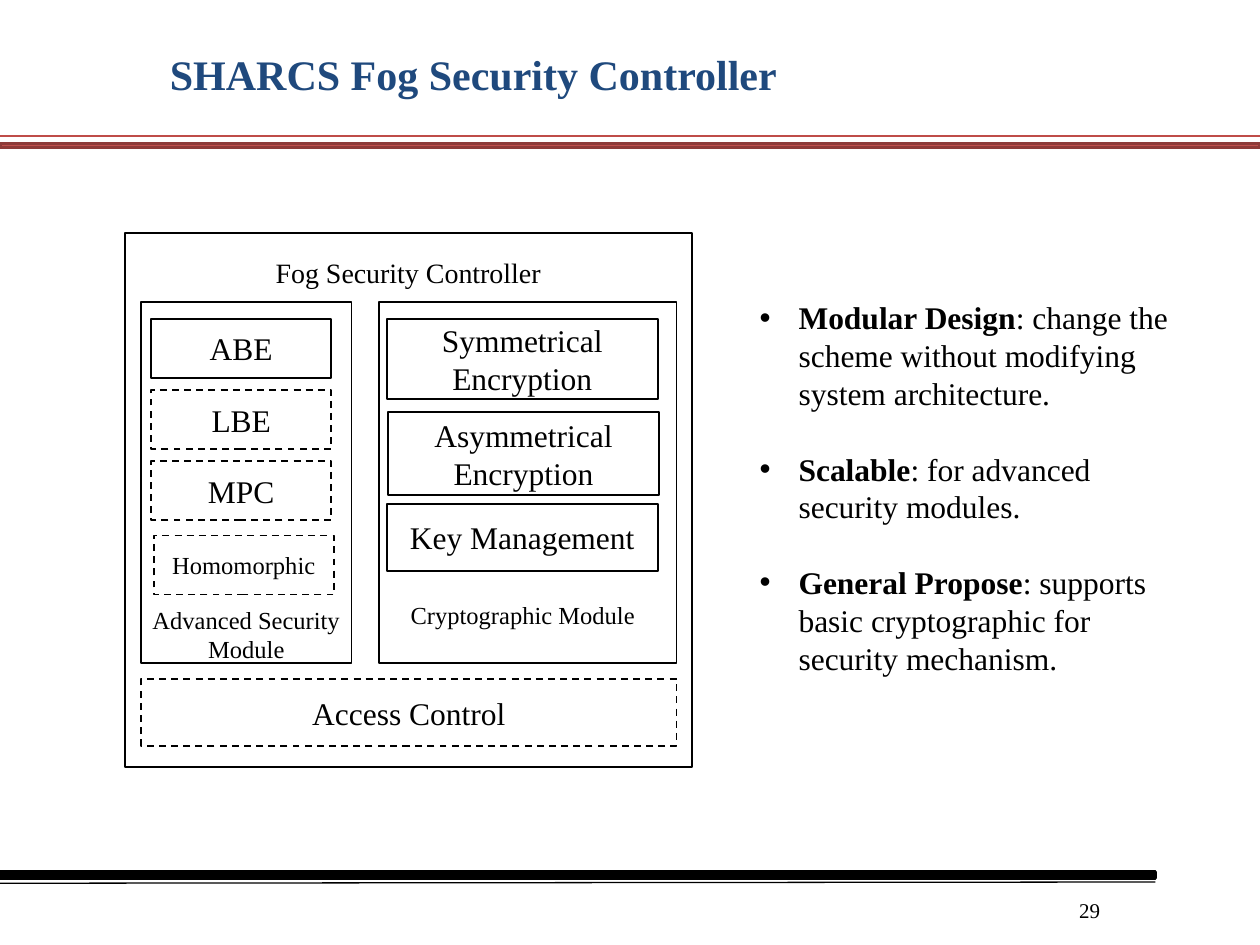
from pptx import Presentation
from pptx.dml.color import RGBColor
from pptx.enum.dml import MSO_LINE as Dash
from pptx.enum.shapes import MSO_CONNECTOR as Conn, MSO_SHAPE as Kind
from pptx.enum.text import MSO_ANCHOR as Anchor, PP_ALIGN as Align
from pptx.oxml.ns import qn
from pptx.util import Inches, Pt
from lxml.etree import SubElement as Sub

FONT = "Times New Roman"
BLACK, BLUE, RED = "000000", "1F497D", "C0504D"
BODY, SMALL = 18, 14
WIDE, HIGH = 10, 7.5


def color(code):
    return RGBColor.from_string(code)


def write(frame, paras, size=BODY, code=BLACK, bold=False, align=Align.CENTER,
          anchor=Anchor.TOP, bullet=False, gap=0, wrap=True):
    """Each paragraph is a string or a list of (text, bold) runs."""
    frame.word_wrap = wrap
    frame.vertical_anchor = anchor
    for i, runs in enumerate(paras):
        para = frame.paragraphs[0] if i == 0 else frame.add_paragraph()
        para.alignment = align
        if i:
            para.space_before = Pt(gap)
        if bullet:
            props = para._p.get_or_add_pPr()
            props.set("marL", str(Inches(0.31)))
            props.set("indent", str(-Inches(0.31)))
            Sub(props, qn("a:buFont"), typeface="Arial")
            Sub(props, qn("a:buChar"), char="•")
        for text, heavy in [(runs, bold)] if isinstance(runs, str) else runs:
            run = para.add_run()
            run.text = text
            font = run.font
            font.name, font.size, font.bold = FONT, Pt(size), heavy
            font.color.rgb = color(code)


def label(slide, box, paras, **form):
    shape = slide.shapes.add_textbox(*map(Inches, box))
    write(shape.text_frame, paras, **form)


def block(slide, box, text=None, size=BODY, fill=None, line=BLACK, width=1,
          dash=False):
    shape = slide.shapes.add_shape(Kind.RECTANGLE, *map(Inches, box))
    shape.shadow.inherit = False
    if fill:
        shape.fill.solid()
        shape.fill.fore_color.rgb = color(fill)
    else:
        shape.fill.background()
    shape.line.color.rgb = color(line)
    shape.line.width = Pt(width)
    if dash:
        shape.line.dash_style = Dash.DASH
    if text:
        write(shape.text_frame, [text], size=size, anchor=Anchor.MIDDLE)


def rule(slide, start, end, code):
    line = slide.shapes.add_connector(
        Conn.STRAIGHT, *map(Inches, (*start, *end)))
    line.line.color.rgb = color(code)
    line.line.width = Pt(0.75)
    Sub(line._element.spPr, qn("a:effectLst"))


def header(slide, box):
    x, y, w, h = box
    block(slide, (x, y + h - 0.03, w, 0.03), fill=RED, line="8E3B39", width=2)
    rule(slide, (x, y + h - 0.09), (x + w, y + h - 0.09), "BF4C48")
    label(slide, (x + w / 8, y + 0.25, 8.58, 0.67),
          ["SHARCS Fog Security Controller"], size=24, code=BLUE, bold=True,
          align=Align.LEFT, anchor=Anchor.MIDDLE)


def footer(slide, box):
    x, y, w, h = box
    block(slide, (x, y, w, 0.05), fill=BLACK, width=2)
    rule(slide, (x, y + 0.09), (x + w, y + 0.08), BLACK)
    label(slide, (x + w - 0.84, y + 0.1, 0.5, 0.4), ["29"], size=12,
          align=Align.RIGHT, anchor=Anchor.MIDDLE)


def module(slide, box, parts, name, place):
    """A frame with parts (text, box, size, dash) and its name at the foot."""
    x, y, w, h = box
    block(slide, box)
    for text, (dx, dy, pw, ph), size, dash in parts:
        block(slide, (x + dx, y + dy, pw, ph), text, size, dash=dash)
    dx, dy, nw, nh = place
    label(slide, (x + dx, y + dy, nw, nh), name, size=SMALL)


def diagram(slide, box):
    x, y, w, h = box
    block(slide, box)
    label(slide, (x, y + 0.13, w, 0.37), ["Fog Security Controller"], size=16)
    left, top, tall = x + 0.13, y + 0.55, 2.86

    # Advanced schemes: equal steps, the last one slightly offset
    parts = [(text, (0.08, 0.13 + i * 0.565, 1.43, 0.47), BODY, i > 0)
             for i, text in enumerate(("ABE", "LBE", "MPC"))]
    parts.append(("Homomorphic", (0.1, 1.85, 1.43, 0.47), SMALL, True))
    module(slide, (left, top, 1.67, tall), parts,
           ["Advanced Security", "Module"], (-0.78, 2.35, 3.23, 0.57))

    # Basic cryptography
    parts = [("Symmetrical Encryption", (0.06, 0.13, 2.15, 0.64), BODY, False),
             ("Asymmetrical Encryption", (0.07, 0.87, 2.15, 0.66), BODY, False),
             ("Key Management", (0.06, 1.6, 2.15, 0.53), BODY, False)]
    module(slide, (left + 1.89, top, 2.36, tall), parts,
           ["Cryptographic Module"], (-0.19, 2.31, 2.66, 0.34))

    block(slide, (left, y + 3.54, w - 0.25, 0.53), "Access Control", dash=True)


def points(slide, box):
    items = [("Modular Design", ": change the scheme without modifying "
              "system architecture."),
             ("Scalable", ": for advanced security modules."),
             ("General Propose", ": supports basic cryptographic for "
              "security mechanism.")]
    label(slide, box, [[(head, True), (rest, False)] for head, rest in items],
          align=Align.LEFT, bullet=True, gap=21.6)


def main():
    deck = Presentation()
    deck.slide_width, deck.slide_height = Inches(WIDE), Inches(HIGH)
    slide = deck.slides.add_slide(deck.slide_layouts[6])
    header(slide, (0, 0, WIDE, 1.17))
    footer(slide, (0, 6.92, 9.17, HIGH - 6.92))
    diagram(slide, (0.99, 1.85, 4.5, 4.24))
    points(slide, (5.93, 2.32, 3.53, 3.74))
    deck.save("out.pptx")


if __name__ == "__main__":
    main()
